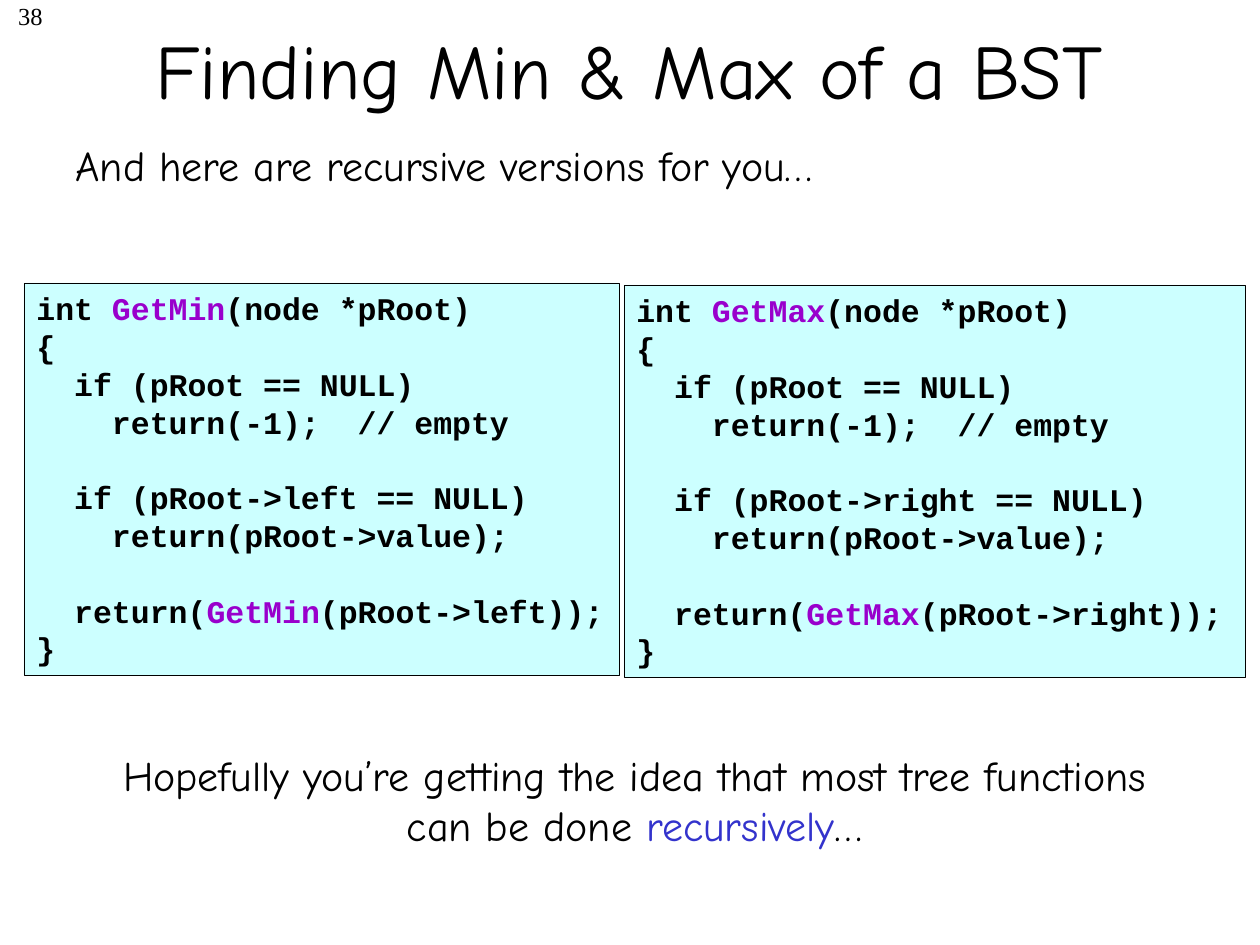
from dataclasses import dataclass

from pptx import Presentation
from pptx.dml.color import RGBColor
from pptx.enum.shapes import MSO_SHAPE
from pptx.enum.text import MSO_ANCHOR, PP_ALIGN
from pptx.util import Emu, Pt

SCALE = 914400 // 126  # EMU per pixel
BLACK = RGBColor(0x00, 0x00, 0x00)
BLUE = RGBColor(0x33, 0x33, 0xCC)
PURPLE = RGBColor(0x99, 0x00, 0xCC)
CYAN = RGBColor(0xCC, 0xFF, 0xFF)
LEFT, CENTER, RIGHT = PP_ALIGN.LEFT, PP_ALIGN.CENTER, PP_ALIGN.RIGHT
TOP, MIDDLE = MSO_ANCHOR.TOP, MSO_ANCHOR.MIDDLE
RECTANGLE = MSO_SHAPE.RECTANGLE
CODE_LINE = 21.6  # points in one line of code


@dataclass
class Area:
    left: int
    top: int
    width: int
    height: int

    def emu(self) -> list[Emu]:
        return [Emu(v * SCALE) for v in (self.left, self.top, self.width, self.height)]


@dataclass
class CodePanel:
    area: Area
    function: str
    child: str

    def code(self) -> str:
        return (
            f"int {self.function}(node *pRoot)\n"
            "{\n"
            "  if (pRoot == NULL)\n"
            "    return(-1);  // empty\n\n"
            f"  if (pRoot->{self.child} == NULL)\n"
            "    return(pRoot->value);\n\n"
            f"  return({self.function}(pRoot->{self.child}));\n"
            "}"
        )


def write(box, text: str, *, size: int, font: str = "Comic Neue", bold: bool = False,
          align=LEFT, anchor=TOP, spacing: float = 1.0, before: float = 0,
          accent: str = "", accent_color: RGBColor = BLACK) -> None:
    """Fill a box with text; an empty line becomes space before the next one."""
    frame = box.text_frame
    frame.word_wrap = True
    frame.vertical_anchor = anchor
    para, gap = None, before
    for line in text.split("\n"):
        if not line:
            gap += CODE_LINE
            continue
        para = frame.paragraphs[0] if para is None else frame.add_paragraph()
        para.alignment = align
        para.line_spacing = spacing
        para.space_before = Pt(gap)
        gap = before
        # Split the line around the accented word
        head, found, tail = line.partition(accent) if accent else (line, "", "")
        for part, color in ((head, BLACK), (found, accent_color), (tail, BLACK)):
            if part:
                span = para.add_run()
                span.text = part
                span.font.name = font
                span.font.size = Pt(size)
                span.font.bold = bold
                span.font.color.rgb = color


def add_text(page, area: Area, text: str, **text_format) -> None:
    write(page.shapes.add_textbox(*area.emu()), text, **text_format)


def add_code(page, panel: CodePanel) -> None:
    box = page.shapes.add_shape(RECTANGLE, *panel.area.emu())
    box.shadow.inherit = False
    box.fill.solid()
    box.fill.fore_color.rgb = CYAN
    box.line.color.rgb = BLACK
    box.line.width = Pt(0.25)
    write(box, panel.code(), size=18, font="Courier New", bold=True,
          accent=panel.function, accent_color=PURPLE)


deck = Presentation()
deck.slide_width, deck.slide_height = Emu(1260 * SCALE), Emu(945 * SCALE)
page = deck.slides.add_slide(deck.slide_layouts[6])

# Page number
add_text(page, Area(-207, -5, 262, 63), "38", size=14, font="Times New Roman", align=RIGHT)

# Closing remark
add_text(page, Area(73, 743, 1123, 113),
         "Hopefully you’re getting the idea that most tree functions can be done recursively…",
         size=24, align=CENTER, accent="recursively", accent_color=BLUE)

# Title and introduction
add_text(page, Area(94, -10, 1071, 158), "Finding Min & Max of a BST",
         size=44, align=CENTER, anchor=MIDDLE)
add_text(page, Area(63, 139, 1155, 113), "And here are recursive versions for you…",
         size=24, spacing=0.9, before=4.8)

# Code panels
for panel in (
    CodePanel(Area(24, 283, 595, 392), "GetMin", "left"),
    CodePanel(Area(624, 285, 621, 392), "GetMax", "right"),
):
    add_code(page, panel)

deck.save("out.pptx")
